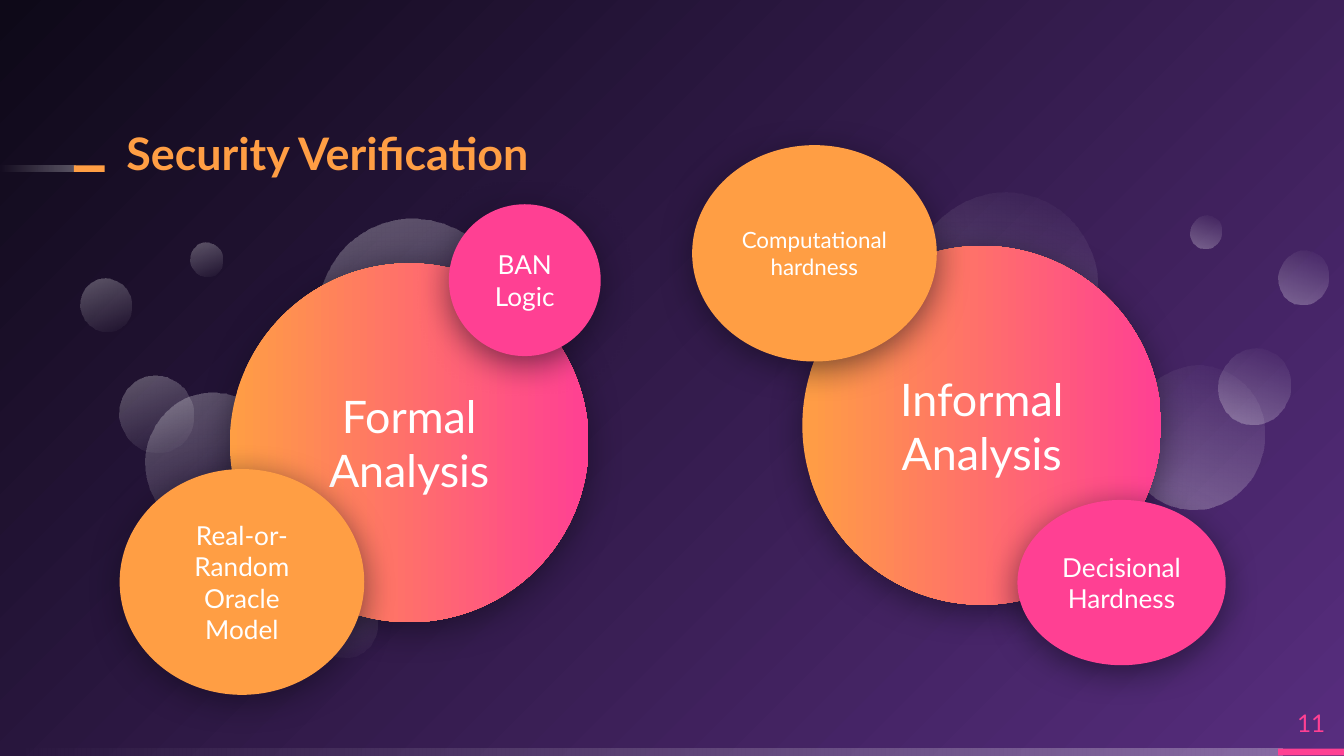
from dataclasses import dataclass
from typing import NamedTuple

from lxml import etree
from pptx import Presentation
from pptx.dml.color import RGBColor
from pptx.enum.shapes import MSO_SHAPE
from pptx.enum.text import MSO_ANCHOR, PP_ALIGN
from pptx.oxml.ns import qn
from pptx.util import Emu, Pt

ELLIPSE, RECT = MSO_SHAPE.OVAL, MSO_SHAPE.RECTANGLE
LEFT, CENTER = PP_ALIGN.LEFT, PP_ALIGN.CENTER
MIDDLE, BOTTOM = MSO_ANCHOR.MIDDLE, MSO_ANCHOR.BOTTOM
PX = 9144
WIDTH = 1000 * PX
HEIGHT = WIDTH * 9 // 16
NS = 'xmlns:a="http://schemas.openxmlformats.org/drawingml/2006/main"'


@dataclass(frozen=True)
class Theme:
    font: str = "Lato"
    orange: str = "FF9E44"
    pink: str = "FF4093"
    white: str = "FFFFFF"
    violet: str = "572D7E"
    night: str = "0E0918"
    heading: int = 24
    label: int = 14
    small: int = 12
    number: int = 13


T = Theme()


class Box(NamedTuple):
    x: int
    y: int
    w: int
    h: int


class Stop(NamedTuple):
    color: str
    alpha: int = 100


@dataclass(frozen=True)
class Circle:
    text: str
    box: Box
    fill: str | tuple[Stop, Stop]
    size: int = T.label


@dataclass(frozen=True)
class Cluster:
    bubbles: tuple[Box, ...]
    rotation: int
    circle: Circle


GLOW = (Stop(T.white, 30), Stop(T.white, 0))
BLEND = (Stop(T.orange), Stop(T.pink))
BACKDROP = (Stop(T.violet), Stop(T.night))

CLUSTERS = (
    Cluster(
        (Box(229, 438, 53, 50), Box(59, 208, 40, 38), Box(106, 294, 108, 103),
         Box(233, 166, 152, 145), Box(88, 281, 57, 54), Box(141, 181, 25, 24)),
        250,
        Circle("Formal Analysis", Box(171, 196, 267, 267), BLEND, T.heading),
    ),
    Cluster(
        (Box(771, 418, 53, 49), Box(950, 188, 40, 37), Box(836, 275, 108, 101),
         Box(669, 148, 152, 141), Box(905, 261, 57, 53), Box(885, 161, 25, 23)),
        110,
        Circle("Informal Analysis", Box(597, 183, 267, 267), BLEND, T.heading),
    ),
)
METHODS = (
    Circle("Real-or-Random Oracle Model", Box(89, 349, 182, 168), T.orange),
    Circle("Computational hardness", Box(515, 108, 182, 161), T.orange, T.small),
    Circle("BAN Logic", Box(334, 152, 113, 113), T.pink),
    Circle("Decisional Hardness", Box(757, 372, 155, 123), T.pink),
)


def emu(box: Box) -> list[Emu]:
    return [Emu(v * PX) for v in box]


def xml(tag: str, attrs: str, body: str = ""):
    return etree.fromstring(f"<a:{tag} {NS} {attrs}>{body}</a:{tag}>")


def set_gradient(fill, owner, stops: tuple[Stop, Stop], direction) -> None:
    fill.gradient()
    grad = next(owner.iter(qn("a:gradFill")))
    for child in list(grad):
        grad.remove(child)
    body = "".join(
        f'<a:gs pos="{pos}"><a:srgbClr val="{s.color}">'
        f'<a:alpha val="{s.alpha * 1000}"/></a:srgbClr></a:gs>'
        for pos, s in zip((0, 100000), stops)
    )
    grad.append(xml("gsLst", "", body))
    grad.append(direction)


def add_shape(shapes, kind, box: Box, fill: str | tuple[Stop, Stop], angle: int = 180):
    sp = shapes.add_shape(kind, *emu(box))
    sp.shadow.inherit = False
    sp.line.fill.background()
    if isinstance(fill, str):
        sp.fill.solid()
        sp.fill.fore_color.rgb = RGBColor.from_string(fill)
    else:
        set_gradient(sp.fill, sp.element, fill,
                     xml("lin", f'ang="{angle * 60000}" scaled="0"'))
    return sp


def write(sp, text: str, *, size: int, color: str = T.white, bold: bool = False,
          align=CENTER, anchor=MIDDLE, inset: int = 0, spacing: float = 1.0) -> None:
    tf = sp.text_frame
    tf.word_wrap = True
    tf.vertical_anchor = anchor
    tf.margin_left = tf.margin_right = tf.margin_top = tf.margin_bottom = Emu(inset * PX)
    p = tf.paragraphs[0]
    p.alignment = align
    p.line_spacing = spacing
    r = p.add_run()
    r.text = text
    r.font.name = T.font
    r.font.size = Pt(size)
    r.font.bold = bold
    r.font.color.rgb = RGBColor.from_string(color)


def add_circle(shapes, circle: Circle) -> None:
    sp = add_shape(shapes, ELLIPSE, circle.box, circle.fill, angle=0)
    effects = next(sp.element.iter(qn("a:effectLst")))
    effects.append(xml(
        "outerShdw",
        f'blurRad="{Pt(18)}" dist="{Pt(4)}" dir="5400000" algn="bl" rotWithShape="0"',
        f'<a:srgbClr val="{T.night}"><a:alpha val="55000"/></a:srgbClr>',
    ))
    write(sp, circle.text, size=circle.size, inset=10)


def add_cluster(shapes, cluster: Cluster) -> None:
    group = shapes.add_group_shape()
    for box in cluster.bubbles:
        sp = add_shape(group.shapes, ELLIPSE, box, GLOW)
        sp.rotation = cluster.rotation
    add_circle(shapes, cluster.circle)


def main() -> None:
    prs = Presentation()
    prs.slide_width, prs.slide_height = Emu(WIDTH), Emu(HEIGHT)
    slide = prs.slides.add_slide(prs.slide_layouts[6])
    shapes = slide.shapes
    corner = xml("path", 'path="circle"', '<a:fillToRect l="100000" t="100000"/>')
    set_gradient(slide.background.fill, slide.element, BACKDROP, corner)

    add_shape(shapes, RECT, Box(0, 557, 954, 5), GLOW)
    add_shape(shapes, RECT, Box(951, 557, 49, 5), T.pink)
    dash = shapes.add_group_shape()
    add_shape(dash.shapes, RECT, Box(0, 123, 56, 5), GLOW)
    add_shape(dash.shapes, RECT, Box(55, 123, 23, 5), T.orange)

    write(shapes.add_textbox(*emu(Box(951, 519, 49, 38))), "11",
          size=T.number, color=T.pink)
    write(shapes.add_textbox(*emu(Box(94, 91, 580, 43))), "Security Verification",
          size=T.heading, color=T.orange, bold=True, align=LEFT, anchor=BOTTOM, spacing=0.9)

    for cluster in CLUSTERS:
        add_cluster(shapes, cluster)
    for method in METHODS:
        add_circle(shapes, method)
    prs.save("out.pptx")


if __name__ == "__main__":
    main()
